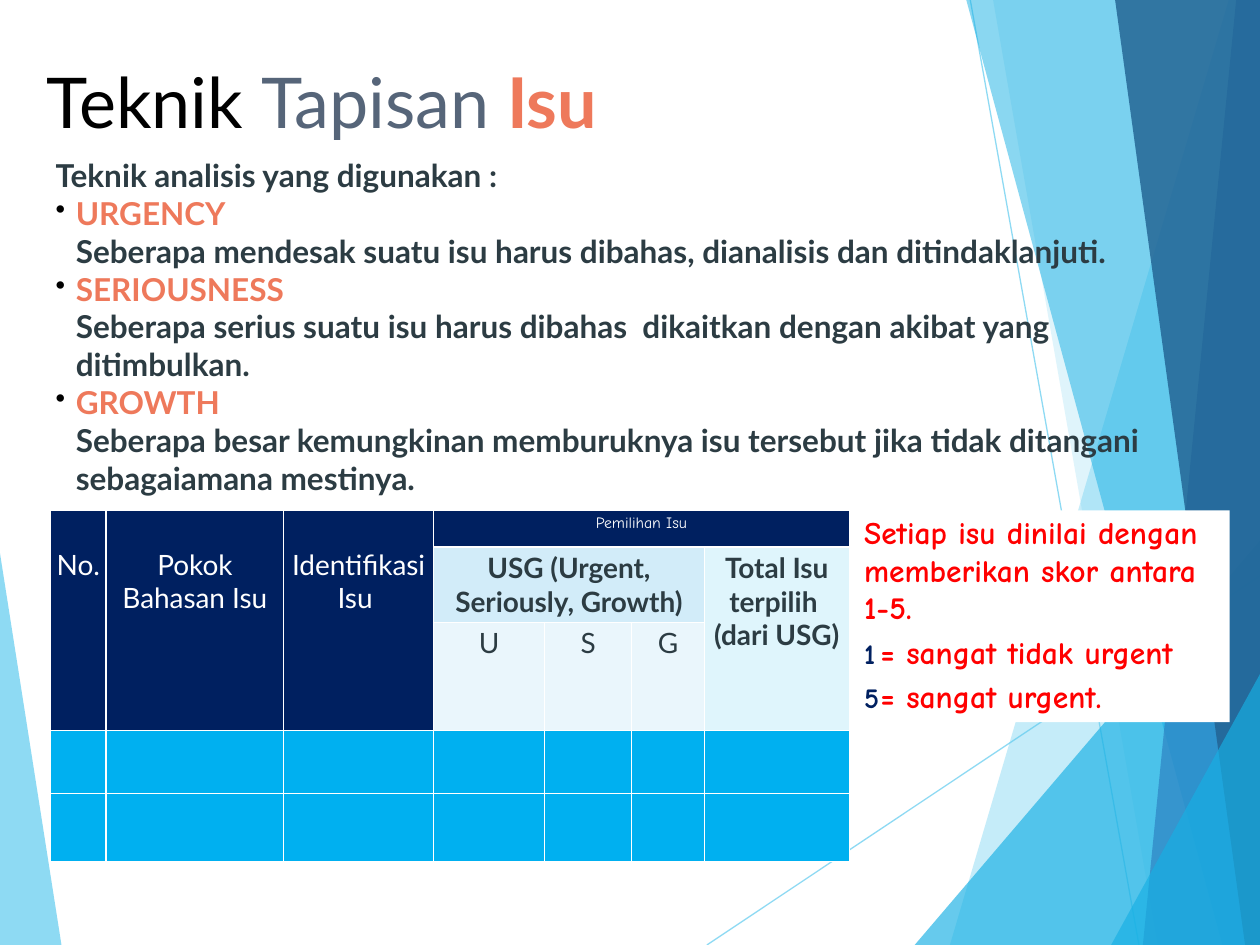
from lxml import etree
from pptx import Presentation
from pptx import util as u
from pptx.dml import color as dml
from pptx.enum import shapes, text
from pptx.oxml import ns

Cm, Pt = u.Cm, u.Pt
hues = {
    "sky": "5FCBEF", "aqua": "17B0E4", "blue": "2E83C3", "deep": "226292",
    "black": "000000", "slate": "566579", "coral": "EE795B", "ink": "2C3C43",
    "white": "FFFFFF", "red": "FF0000", "navy": "002060", "cyan": "00B0F0",
    "pale": "D2ECF9", "mint": "DFF5FC", "ice": "EAF6FC",
}
rgb = {key: dml.RGBColor.from_string(val) for key, val in hues.items()}


def paint(fill, hue, pct=100):
    """Solid fill, see-through when pct is below 100."""
    fill.solid()
    fill.fore_color.rgb = rgb[hue]
    if pct < 100:
        node = fill._xPr.find(".//" + ns.qn("a:srgbClr"))
        etree.SubElement(node, ns.qn("a:alpha"), val=str(pct * 1000))


def write(para, words, size, hue, bold=False, face="Lato",
          left=0, hang=0, mark=None, tint="black"):
    """Text with one font; mark is a (tag, attributes) bullet."""
    para.text = words
    props = para._p.get_or_add_pPr()
    if left:
        props.set("marL", str(Cm(left)))
        props.set("indent", str(-Cm(hang)))
    if mark:
        shade = etree.SubElement(props, ns.qn("a:buClr"))
        etree.SubElement(shade, ns.qn("a:srgbClr"), val=hues[tint])
        etree.SubElement(props, ns.qn("a:buSzPct"), val="90000")
        etree.SubElement(props, ns.qn("a:" + mark[0]), **mark[1])
    font = para.font
    font.name, font.size, font.bold = face, Pt(size), bold
    font.color.rgb = rgb[hue]


wide, high = 25.4, 19.05
deck = Presentation()
deck.slide_width, deck.slide_height = Cm(wide), Cm(high)
slide = deck.slides.add_slide(deck.slide_layouts[6])
items = slide.shapes

# Thin lines behind the facets
for x1, y1, x2, y2 in [(14.25, high, wide, 11.61), (19.56, 0, 22.96, high)]:
    line = items.add_connector(shapes.MSO_CONNECTOR.STRAIGHT,
                               Cm(x1), Cm(y1), Cm(x2), Cm(y2))
    line.line.width = Pt(0.75)
    paint(line.line.fill, "sky", 70)
    etree.SubElement(line._element.spPr, ns.qn("a:effectLst"))

# Facets: the right-hand ones run to the slide's edge
base, top = (wide, high), (wide, 0)
facets = [
    ("sky", 70, [(0, 11.15), (1.24, high), (0, high)]),
    ("sky", 36, [(24.77, 0), (19.15, high), base, top]),
    ("sky", 20, [(20.02, 0), (23.34, high), base, top]),
    ("aqua", 66, [(18.44, high), (wide, 10.9), base]),
    ("aqua", 50, [(19.48, 0), (24.64, high), base, top]),
    ("blue", 70, [(24.92, 0), (23.04, high), base, top]),
    ("deep", 82, [(22.48, 0), (25.1, high), base, top]),
    ("aqua", 66, [(22.4, high), (wide, 13.59), base]),
]
for hue, pct, spots in facets:
    spots = [(Cm(x), Cm(y)) for x, y in spots]
    pen = items.build_freeform(*spots[0])
    pen.add_line_segments(spots[1:], close=True)
    facet = pen.convert_to_shape()
    facet.shadow.inherit = False
    paint(facet.fill, hue, pct)
    facet.line.fill.background()

# Title, body and score note
title = items.add_textbox(Cm(0.84), Cm(1.27), Cm(12.4), Cm(1.6))
body = items.add_textbox(Cm(1.02), Cm(3.1), Cm(23.24), Cm(7.19))
note = items.add_shape(shapes.MSO_SHAPE.RECTANGLE,
                       Cm(17.32), Cm(10.29), Cm(7.47), Cm(4.27))
note.shadow.inherit = False
paint(note.fill, "white")
note.line.fill.background()
for box, pad in [(title, 0.1), (body, 0.05), (note, 0.05)]:
    frame = box.text_frame
    frame.word_wrap = True
    frame.vertical_anchor = text.MSO_ANCHOR.TOP
    frame.margin_left = frame.margin_right = Cm(0.1)
    frame.margin_top = frame.margin_bottom = Cm(pad)

head = title.text_frame.paragraphs[0]
head.line_spacing = 0.9
head.font.name, head.font.size = "Lato", Pt(40)
for words, hue, bold in [("Teknik ", "black", False),
                         ("Tapisan ", "slate", False), ("Isu", "coral", True)]:
    run = head.add_run()
    run.text = words
    run.font.bold = bold
    run.font.color.rgb = rgb[hue]

terms = [
    ("URGENCY", "Seberapa mendesak suatu isu harus dibahas, dianalisis dan "
     "ditindaklanjuti."),
    ("SERIOUSNESS", "Seberapa serius suatu isu harus dibahas  dikaitkan "
     "dengan akibat yang ditimbulkan."),
    ("GROWTH", "Seberapa besar kemungkinan memburuknya isu tersebut jika "
     "tidak ditangani sebagaiamana mestinya."),
]
frame = body.text_frame
write(frame.paragraphs[0], "Teknik analisis yang digunakan :", 18, "ink", True,
      left=0.41, hang=0.41)
for term, words in terms:
    write(frame.add_paragraph(), term, 18, "coral", True, left=0.41, hang=0.41,
          mark=("buChar", {"char": "•"}))
    write(frame.add_paragraph(), words, 18, "ink", True, left=0.41)

frame = note.text_frame
write(frame.paragraphs[0], "Setiap isu dinilai dengan memberikan skor antara 1-5.",
      18, "red", True, "Comic Neue")
for score, words in [(1, "= sangat tidak urgent"), (5, "= sangat urgent.")]:
    para = frame.add_paragraph()
    write(para, words, 18, "red", True, "Comic Neue", 0.33, 0.33,
          ("buAutoNum", {"type": "arabicPlain", "startAt": str(score)}), "navy")
    para.space_before = Pt(3.6)
for para in frame.paragraphs:
    para.alignment = text.PP_ALIGN.LEFT

# Table grid
cols = [1.12, 3.58, 3.02, 2.24, 1.75, 1.47, 2.92]
rows = [0.74, 1.47, 1.83, 1.27, 1.37]
table = items.add_table(len(rows), len(cols), Cm(1.02), Cm(10.29),
                        Cm(sum(cols)), Cm(sum(rows))).table
table.first_row = table.horz_banding = False
for col, size in zip(table.columns, cols):
    col.width = Cm(size)
for row, size in zip(table.rows, rows):
    row.height = Cm(size)
for cell in table.iter_cells():
    cell.margin_left = cell.margin_right = Cm(0.1)
    cell.margin_top = cell.margin_bottom = Cm(0.08)
    paint(cell.fill, "cyan")
    for spot, side in enumerate(["lnL", "lnR", "lnT", "lnB"]):
        edge = etree.Element(ns.qn("a:" + side), w=str(Pt(1)))
        solid = etree.SubElement(edge, ns.qn("a:solidFill"))
        etree.SubElement(solid, ns.qn("a:srgbClr"), val=hues["white"])
        cell._tc.tcPr.insert(spot, edge)

# Header cells: row, column, last row, last column, lines, fill, font
heads = [
    (0, 0, 2, 0, ["No."], "navy", (16, "white")),
    (0, 1, 2, 1, ["Pokok Bahasan Isu"], "navy", (16, "white")),
    (0, 2, 2, 2, ["Identifikasi Isu "], "navy", (16, "white")),
    (0, 3, 0, 6, ["Pemilihan Isu"], "navy", (9, "white", False, "Comic Neue")),
    (1, 3, 1, 5, ["USG (Urgent, Seriously, Growth)"], "pale", (16, "ink", True)),
    (1, 6, 2, 6, ["Total Isu terpilih ", "(dari USG)"], "mint", (16, "ink", True)),
    (2, 3, 2, 3, ["U"], "ice", (16, "ink")),
    (2, 4, 2, 4, ["S"], "ice", (16, "ink")),
    (2, 5, 2, 5, ["G"], "ice", (16, "ink")),
]
for r1, c1, r2, c2, lines, hue, font in heads:
    cell = table.cell(r1, c1)
    if (r1, c1) != (r2, c2):
        cell.merge(table.cell(r2, c2))
    for r in range(r1, r2 + 1):
        for c in range(c1, c2 + 1):
            paint(table.cell(r, c).fill, hue)
    if r2 - r1 == 2:
        cell.margin_top = Cm(0.75)
    for spot, words in enumerate(lines):
        frame = cell.text_frame
        para = frame.add_paragraph() if spot else frame.paragraphs[0]
        write(para, words, *font)
        para.alignment = text.PP_ALIGN.CENTER

deck.save("out.pptx")
